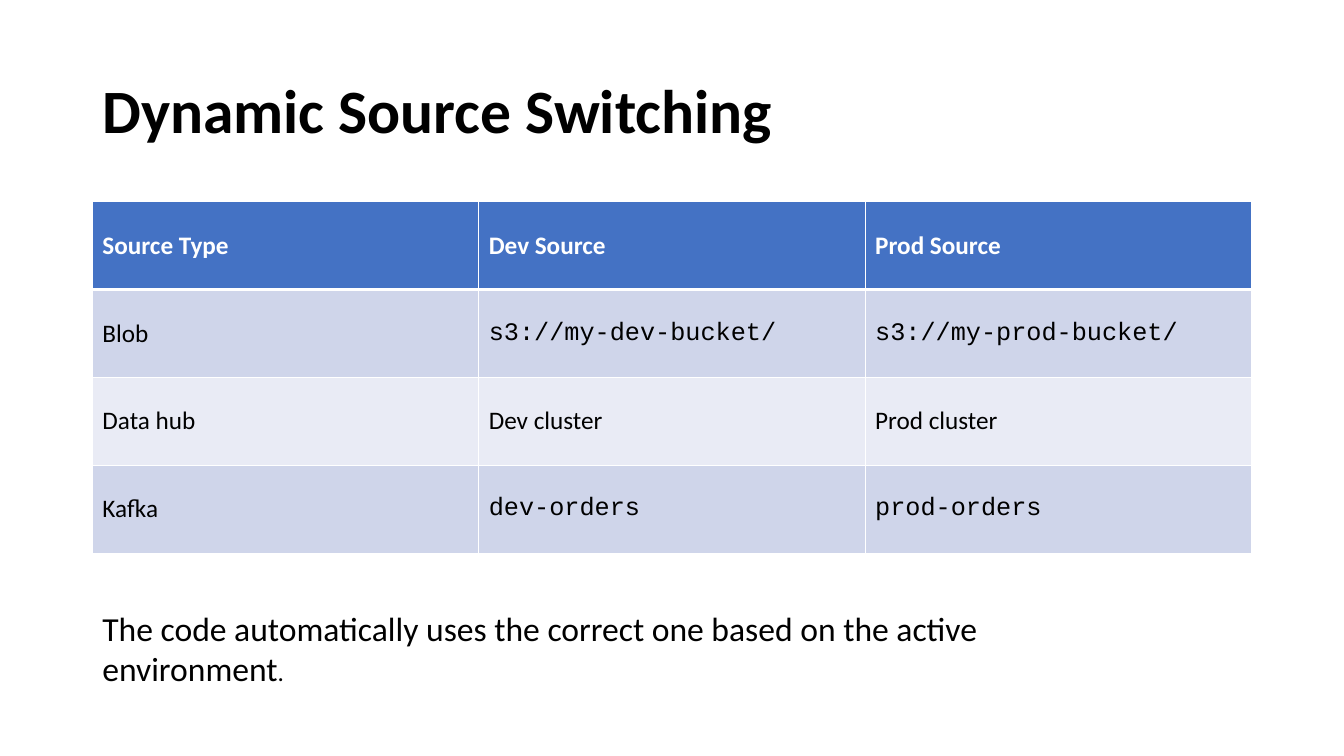
"""Build the Dynamic Source Switching slide."""
from dataclasses import dataclass

from lxml import etree
from pptx import Presentation
from pptx import util as u
from pptx.dml.color import RGBColor
from pptx.enum import text
from pptx.oxml.ns import qn

BLACK, WHITE = "000000", "FFFFFF"
HEADER_FILL, ODD_FILL, EVEN_FILL = "4472C4", "CFD5EA", "E9EBF5"
BODY_FONT, CODE_FONT = "Calibri", "Courier New"
LEFT, CONTENT_WIDTH = 66, 828
TABLE_TOP, ROW_HEIGHT = 144, 62.8


@dataclass
class Source:
    kind: str
    dev: str
    prod: str
    value_font: str = BODY_FONT


HEADINGS = Source("Source Type", "Dev Source", "Prod Source")
SOURCES = [
    Source("Blob", "s3://my-dev-bucket/", "s3://my-prod-bucket/", CODE_FONT),
    Source("Data hub", "Dev cluster", "Prod cluster"),
    Source("Kafka", "dev-orders", "prod-orders", CODE_FONT),
]


def color(value: str) -> RGBColor:
    return RGBColor.from_string(value)


def style_font(font, size: float, name: str = BODY_FONT,
               fill: str = BLACK, bold: bool = False) -> None:
    font.size = u.Pt(size)
    font.name = name
    font.bold = bold
    font.color.rgb = color(fill)


def place(shape, left: float, top: float, width: float, height: float) -> None:
    shape.left, shape.top = u.Pt(left), u.Pt(top)
    shape.width, shape.height = u.Pt(width), u.Pt(height)


def set_borders(cell, top: float, bottom: float) -> None:
    properties = cell._tc.get_or_add_tcPr()
    for side, width in (("L", 1), ("R", 1), ("T", top), ("B", bottom)):
        line = etree.SubElement(properties, qn(f"a:ln{side}"), w=str(u.Pt(width)))
        fill = etree.SubElement(line, qn("a:solidFill"))
        etree.SubElement(fill, qn("a:srgbClr"), val=WHITE)


def add_title(slide, words: str) -> None:
    title = slide.shapes.title
    place(title, LEFT, 28.75, CONTENT_WIDTH, 104.4)
    frame = title.text_frame
    frame.text = words
    frame.word_wrap = True
    frame.auto_size = text.MSO_AUTO_SIZE.NONE
    frame.vertical_anchor = text.MSO_ANCHOR.MIDDLE
    paragraph = frame.paragraphs[0]
    paragraph.alignment = text.PP_ALIGN.LEFT
    paragraph.line_spacing = 0.9
    style_font(paragraph.font, 44, bold=True)


def add_source_table(slide) -> None:
    rows = [HEADINGS, *SOURCES]
    table = slide.shapes.add_table(
        len(rows), 3, u.Pt(LEFT), u.Pt(TABLE_TOP),
        u.Pt(CONTENT_WIDTH), u.Pt(ROW_HEIGHT * len(rows))).table
    for row_index, source in enumerate(rows):
        table.rows[row_index].height = u.Pt(ROW_HEIGHT)
        is_header = row_index == 0
        band = ODD_FILL if row_index % 2 else EVEN_FILL
        for column_index, words in enumerate((source.kind, source.dev, source.prod)):
            cell = table.cell(row_index, column_index)
            set_borders(cell, top=3 if row_index == 1 else 1,
                        bottom=3 if is_header else 1)
            cell.fill.solid()
            cell.fill.fore_color.rgb = color(HEADER_FILL if is_header else band)
            cell.vertical_anchor = text.MSO_ANCHOR.MIDDLE
            cell.text = words
            style_font(cell.text_frame.paragraphs[0].font, 18,
                       source.value_font if column_index else BODY_FONT,
                       WHITE if is_header else BLACK, is_header)


def add_note(slide, words: str, ending: str) -> None:
    box = slide.shapes.add_textbox(u.Pt(LEFT), u.Pt(430.5), u.Pt(757.5), u.Pt(65.5))
    frame = box.text_frame
    frame.word_wrap = True
    frame.auto_size = text.MSO_AUTO_SIZE.SHAPE_TO_FIT_TEXT
    for part, size in ((words, 24), (ending, 18)):
        run = frame.paragraphs[0].add_run()
        run.text = part
        style_font(run.font, size)


def main() -> None:
    presentation = Presentation()
    presentation.slide_width, presentation.slide_height = u.Pt(960), u.Pt(540)
    slide = presentation.slides.add_slide(presentation.slide_layouts[5])
    add_title(slide, "Dynamic Source Switching")
    add_source_table(slide)
    add_note(slide, "The code automatically uses the correct one based on "
                    "the active environment", ".")
    presentation.save("out.pptx")


if __name__ == "__main__":
    main()
